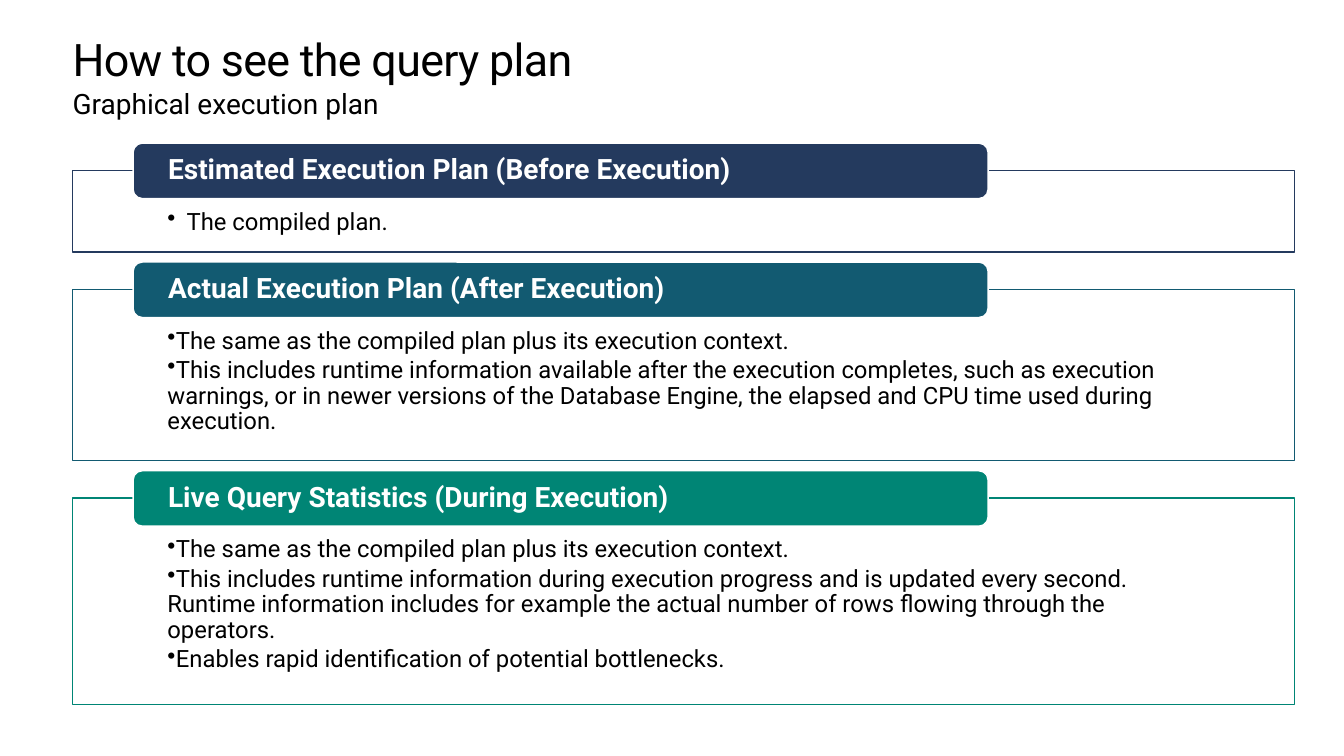
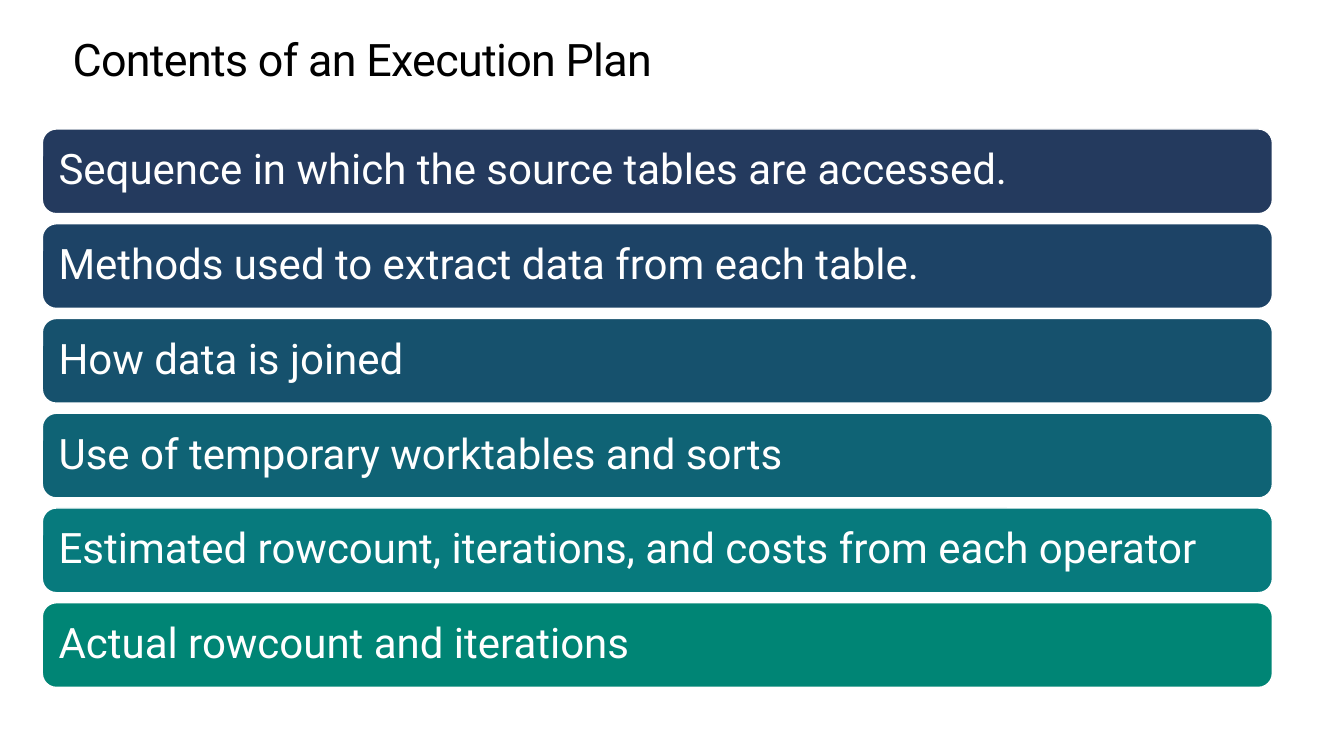
from pptx import Presentation
from pptx.dml.color import RGBColor
from pptx.enum import shapes, text
from pptx.oxml import ns, xmlchemy
from pptx.util import Inches, Pt


class Theme:
    font = "Roboto"
    black, white = "000000", "FFFFFF"
    navy, petrol, green = "243A5E", "125A71", "008575"
    bars = (navy, "1D4366", "16516D", "0F6375", "077A7D", green)
    title_size, subtitle_size, tab_size, body_size, bar_size = 32, 20, 20, 17, 30
    left, heading_width = 0.72, 11.9


# Content
PLANS_TITLE = "How to see the query plan"
PLANS_SUBTITLE = "Graphical execution plan"
# heading, colour, frame height, bullet indent, bullets
PLANS = [
    ("Estimated Execution Plan (Before Execution)", Theme.navy, 0.81, 0.19,
     ["The compiled plan."]),
    ("Actual Execution Plan (After Execution)", Theme.petrol, 1.7, 0,
     ["The same as the compiled plan plus its execution context.",
      "This includes runtime information available after the execution completes, "
      "such as execution warnings, or in newer versions of the Database Engine, "
      "the elapsed and CPU time used during execution."]),
    ("Live Query Statistics (During Execution)", Theme.green, 2.05, 0,
     ["The same as the compiled plan plus its execution context.",
      "This includes runtime information during execution progress and is updated "
      "every second. Runtime information includes for example the actual number of "
      "rows flowing through the operators.",
      "Enables rapid identification of potential bottlenecks."]),
]
CONTENTS_TITLE = "Contents of an Execution Plan"
CONTENTS = [
    "Sequence in which the source tables are accessed.",
    "Methods used to extract data from each table.",
    "How data is joined",
    "Use of temporary worktables and sorts",
    "Estimated rowcount, iterations, and costs from each operator",
    "Actual rowcount and iterations",
]


# Shared helpers
def write(shape, lines, size, color, insets=(0, 0, 0, 0), anchor=text.MSO_ANCHOR.TOP,
          bold=False, spacing=0.9, after=0):
    frame = shape.text_frame
    frame.word_wrap = True
    frame.vertical_anchor = anchor
    (frame.margin_left, frame.margin_top,
     frame.margin_right, frame.margin_bottom) = map(Inches, insets)
    frame.text = "\n".join(lines)
    for paragraph in frame.paragraphs:
        paragraph.alignment = text.PP_ALIGN.LEFT
        paragraph.line_spacing = spacing
        paragraph.space_after = Pt(after)
        font = paragraph.font
        font.name, font.size, font.bold = Theme.font, Pt(size), bold
        font.color.rgb = RGBColor.from_string(color)
    return frame.paragraphs


def add_box(slide, kind, box, fill, line):
    shape = slide.shapes.add_shape(kind, *map(Inches, box))
    shape.shadow.inherit = False
    shape.fill.solid()
    shape.fill.fore_color.rgb = RGBColor.from_string(fill)
    shape.line.color.rgb = RGBColor.from_string(line)
    shape.line.width = Pt(1)
    return shape


def add_bar(slide, box, fill, label, size, insets, bold=False):
    bar = add_box(slide, shapes.MSO_SHAPE.ROUNDED_RECTANGLE, box, fill, Theme.white)
    write(bar, [label], size, Theme.white, insets, text.MSO_ANCHOR.MIDDLE, bold)


def add_heading(slide, top, line, size, spacing):
    box = (Theme.left, top, Theme.heading_width, 0.5)
    textbox = slide.shapes.add_textbox(*map(Inches, box))
    return write(textbox, [line], size, Theme.black, spacing=spacing)[0]


def add_title(slide, line):
    paragraph = add_heading(slide, 0.35, line, Theme.title_size, Pt(36.2))
    paragraph.runs[0].font._element.set("spc", "-50")


def add_bullet(paragraph, indent):
    properties = paragraph._p.get_or_add_pPr()
    properties.set("marL", str(Inches(indent)))
    properties.set("indent", str(-Inches(indent)))
    bullet = xmlchemy.OxmlElement("a:buChar")
    bullet.set("char", "•")
    properties.find(ns.qn("a:defRPr")).addprevious(bullet)


# Slides
def build_plans(slide):
    add_title(slide, PLANS_TITLE)
    add_heading(slide, 0.86, PLANS_SUBTITLE, Theme.subtitle_size, 1.0)
    top, gap = 1.69, 0.37
    for heading, color, height, indent, bullets in PLANS:
        frame = add_box(slide, shapes.MSO_SHAPE.RECTANGLE,
                        (Theme.left, top, 12.12, height), Theme.white, color)
        for paragraph in write(frame, bullets, Theme.body_size, Theme.black,
                               (0.94, 0.39, 0.94, 0.13), after=2.5):
            add_bullet(paragraph, indent)
        add_bar(slide, (Theme.left + 0.6, top - 0.27, 8.48, 0.55), color, heading,
                Theme.tab_size, (0.32, 0, 0.32, 0), bold=True)
        top += height + gap


def build_contents(slide):
    add_title(slide, CONTENTS_TITLE)
    for row, (label, color) in enumerate(zip(CONTENTS, Theme.bars)):
        add_bar(slide, (0.42, 1.28 + 0.94 * row, 12.2, 0.84), color, label,
                Theme.bar_size, (0.12, 0.12, 0.12, 0.12))


def main():
    presentation = Presentation()
    presentation.slide_width, presentation.slide_height = Inches(13.33), Inches(7.5)
    blank = presentation.slide_layouts[6]
    for build in (build_plans, build_contents):
        build(presentation.slides.add_slide(blank))
    presentation.save("out.pptx")


if __name__ == "__main__":
    main()
